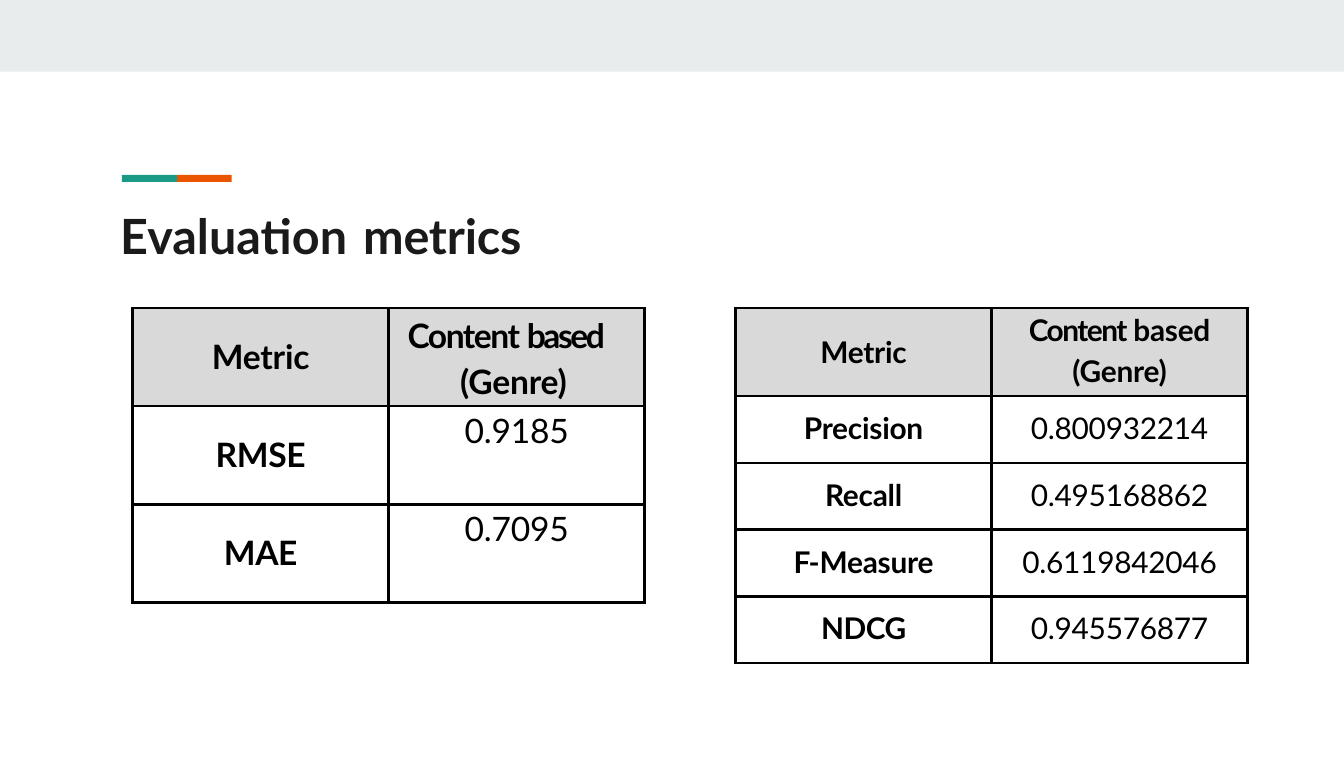
from dataclasses import dataclass

import lxml.etree
import pptx
import pptx.dml.color
import pptx.enum.shapes
import pptx.enum.text
import pptx.oxml.ns
import pptx.slide
import pptx.table
import pptx.util

Pt = pptx.util.Pt
Align = pptx.enum.text.PP_ALIGN


@dataclass(frozen=True)
class Theme:
    font: str = "Lato"
    band: str = "E9ECED"
    teal: str = "1A9987"
    orange: str = "EB5500"
    title: str = "1A1A1A"
    ink: str = "000000"
    header: str = "D9D9D9"
    title_size: float = 26
    ranking_size: float = 16
    error_size: float = 18
    border: float = 1.5


THEME = Theme()


@dataclass(frozen=True)
class TextRun:
    text: str
    spacing: float = -0.1


@dataclass(frozen=True)
class Cell:
    lines: tuple[tuple[TextRun, ...], ...]
    top_margin: float
    bold: bool = True
    hanging: bool = False


@dataclass(frozen=True)
class Bar:
    left: float
    top: float
    width: float
    height: float
    color: str


@dataclass(frozen=True)
class MetricTable:
    left: float
    row_heights: tuple[float, ...]
    size: float
    rows: tuple[tuple[Cell, Cell], ...]


PAGE_WIDTH, PAGE_HEIGHT = 720, 405.5
TABLE_TOP = 165
COLUMN_WIDTH = 137.15
CONTENT = TextRun("Content ", -0.8)
GENRE = TextRun("(Genre)")


def label(top_margin: float, *runs: TextRun) -> Cell:
    return Cell((runs,), top_margin)


def value(top_margin: float, text: str) -> Cell:
    return Cell(((TextRun(text),),), top_margin, bold=False)


BARS = (
    Bar(0, 0, PAGE_WIDTH, 38.4, THEME.band),
    Bar(94.9, 93.7, 29.2, 3.7, THEME.orange),
    Bar(65.3, 93.7, 29.6, 3.7, THEME.teal),
)
RANKING = MetricTable(394.1, (47.1,) + (35.8,) * 4, THEME.ranking_size, (
    (label(13.9, TextRun("Metric")),
     Cell(((CONTENT, TextRun("based")), (GENRE,)), 2.1)),
    (label(7.6, TextRun("Precision")), value(7.6, "0.800932214")),
    (label(7.6, TextRun("Recall")), value(7.6, "0.495168862")),
    (label(7.7, TextRun("F-", -0.8), TextRun("Measure")), value(7.7, "0.6119842046")),
    (label(7.7, TextRun("NDCG", -0.2)), value(7.7, "0.945576877")),
))
ERRORS = MetricTable(71.1, (52.6,) * 3, THEME.error_size, (
    (label(15.4, TextRun("Metric")),
     Cell(((CONTENT, TextRun("based ", -1.3), GENRE),), 0.6, hanging=True)),
    (label(14.8, TextRun("RMSE", -0.2)), value(2.4, "0.9185")),
    (label(14.8, TextRun("MAE", -0.2)), value(2.4, "0.7095")),
))


def rgb(color: str) -> pptx.dml.color.RGBColor:
    return pptx.dml.color.RGBColor.from_string(color)


def add_runs(para, runs: tuple[TextRun, ...], size: float, color: str, bold: bool) -> None:
    for item in runs:
        span = para.add_run()
        span.text = item.text
        span.font.name = THEME.font
        span.font.size = Pt(size)
        span.font.bold = bold
        span.font.color.rgb = rgb(color)
        span.font._element.set("spc", str(round(item.spacing * 100)))


def add_bar(page: pptx.slide.Slide, bar: Bar) -> None:
    shape = page.shapes.add_shape(
        pptx.enum.shapes.MSO_SHAPE.RECTANGLE,
        Pt(bar.left), Pt(bar.top), Pt(bar.width), Pt(bar.height))
    shape.shadow.inherit = False
    shape.fill.solid()
    shape.fill.fore_color.rgb = rgb(bar.color)
    shape.line.fill.background()


def set_title(page: pptx.slide.Slide) -> None:
    title = page.shapes.title
    title.left, title.top, title.width, title.height = Pt(63.4), Pt(109.4), Pt(420), Pt(33.1)
    frame = title.text_frame
    frame.margin_left = frame.margin_right = frame.margin_bottom = 0
    frame.margin_top = Pt(1)
    frame.vertical_anchor = pptx.enum.text.MSO_ANCHOR.TOP
    para = frame.paragraphs[0]
    para.alignment = Align.LEFT
    para._p.get_or_add_pPr().set("marL", str(Pt(1)))
    add_runs(para, (TextRun("Evaluation", 0), TextRun(" ", 2), TextRun("metrics")),
             THEME.title_size, THEME.title, True)


def set_borders(cell: pptx.table._Cell) -> None:
    """Line all four sides; call before the fill, which must follow in the XML."""
    properties = cell._tc.get_or_add_tcPr()
    qn = pptx.oxml.ns.qn
    for side in ("a:lnL", "a:lnR", "a:lnT", "a:lnB"):
        line = lxml.etree.SubElement(properties, qn(side), w=str(Pt(THEME.border)))
        fill = lxml.etree.SubElement(line, qn("a:solidFill"))
        lxml.etree.SubElement(fill, qn("a:srgbClr"), val=THEME.ink)


def fill_cell(target: pptx.table._Cell, cell: Cell, size: float, is_header: bool) -> None:
    target.margin_left = target.margin_right = target.margin_bottom = 0
    target.margin_top = Pt(cell.top_margin)
    set_borders(target)
    if is_header:
        target.fill.solid()
        target.fill.fore_color.rgb = rgb(THEME.header)
    else:
        target.fill.background()
    frame = target.text_frame
    for index, runs in enumerate(cell.lines):
        para = frame.add_paragraph() if index else frame.paragraphs[0]
        para.alignment = Align.LEFT if cell.hanging else Align.CENTER
        if index:
            para.space_before = Pt(2.9)
        if cell.hanging:
            para.line_spacing = Pt(24.7)
            properties = para._p.get_or_add_pPr()
            properties.set("marL", str(Pt(38.2)))
            properties.set("indent", str(Pt(-28.1)))
        add_runs(para, runs, size, THEME.ink, cell.bold)


def add_metric_table(page: pptx.slide.Slide, metrics: MetricTable) -> None:
    table = page.shapes.add_table(
        len(metrics.rows), 2, Pt(metrics.left), Pt(TABLE_TOP),
        Pt(2 * COLUMN_WIDTH), Pt(sum(metrics.row_heights))).table
    table.first_row = table.horz_banding = False
    for column in table.columns:
        column.width = Pt(COLUMN_WIDTH)
    for row_index, cells in enumerate(metrics.rows):
        table.rows[row_index].height = Pt(metrics.row_heights[row_index])
        for column_index, cell in enumerate(cells):
            fill_cell(table.cell(row_index, column_index), cell, metrics.size, row_index == 0)


def main() -> None:
    deck = pptx.Presentation()
    deck.slide_width, deck.slide_height = Pt(PAGE_WIDTH), Pt(PAGE_HEIGHT)
    page = deck.slides.add_slide(deck.slide_layouts[5])
    for bar in BARS:
        add_bar(page, bar)
    set_title(page)
    for metrics in (RANKING, ERRORS):
        add_metric_table(page, metrics)
    deck.save("out.pptx")


if __name__ == "__main__":
    main()
